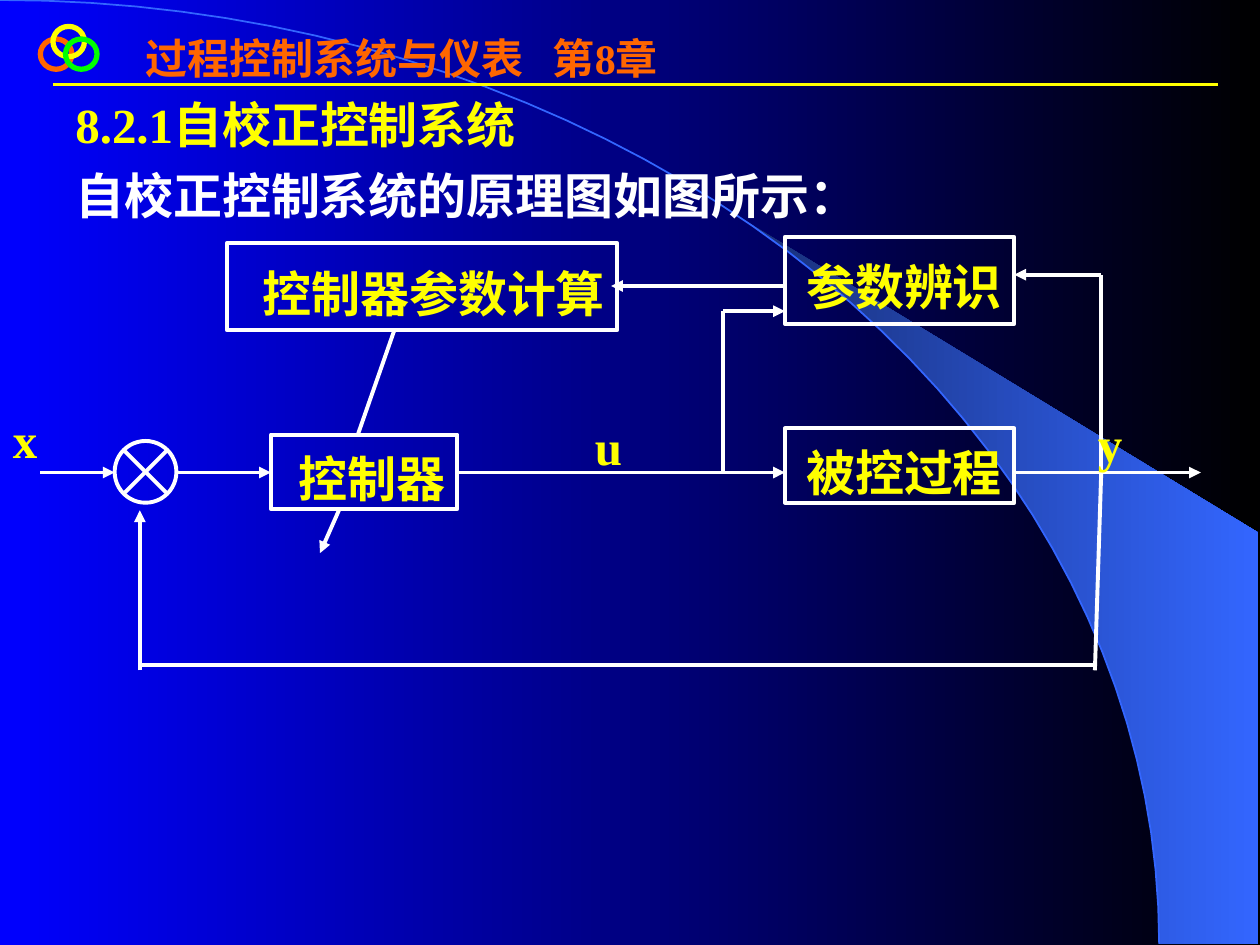
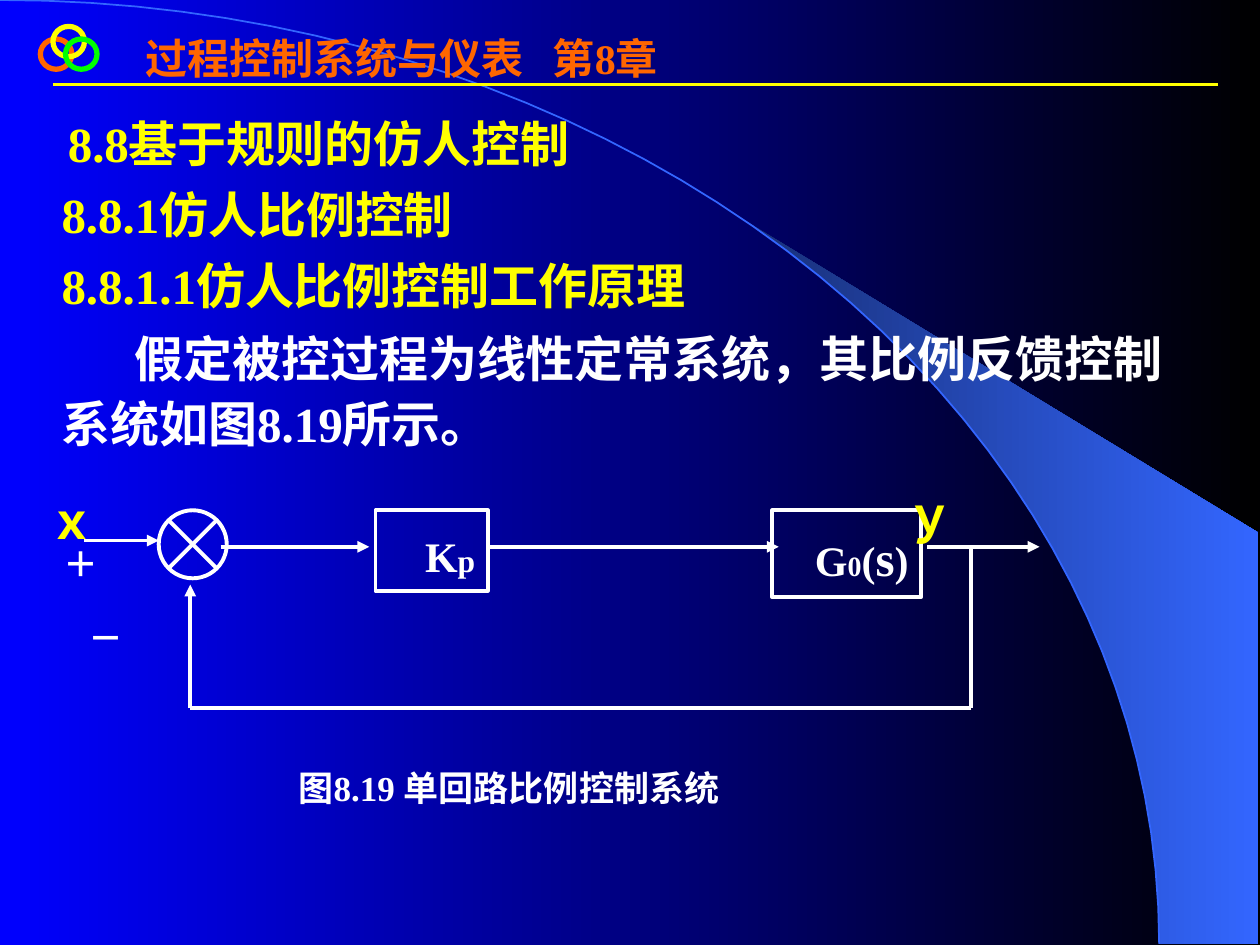
import itertools
import math

import pptx
import pptx.dml.color
import pptx.enum.lang
import pptx.enum.shapes
import pptx.enum.text
import pptx.oxml.ns
import pptx.util
from lxml import etree
from pptx.util import Inches

COLORS = {
    "blue": "0000FF",
    "black": "000000",
    "navy": "182F76",
    "sky": "3366FF",
    "orange": "FF6600",
    "yellow": "FFFF00",
    "green": "00FF00",
    "white": "FFFFFF",
}
FONT = "Times New Roman"
ALIGN = pptx.enum.text.PP_ALIGN
SHAPE = pptx.enum.shapes.MSO_SHAPE
ARC_WIDTH, ARC_HEIGHT = 9.2, 7.49
LINE_WIDTH = 2.25


def rgb(color):
    return pptx.dml.color.RGBColor.from_string(COLORS[color])


def add_xml(parent, tag, **attributes):
    return etree.SubElement(parent, pptx.oxml.ns.qn(tag), **attributes)


def paint_gradient(fill, start, end):
    fill.gradient()
    fill.gradient_angle = 0
    for stop, color in zip(fill.gradient_stops, (start, end)):
        stop.color.rgb = rgb(color)


def set_line(line, color, width):
    line.color.rgb = rgb(color)
    line.width = pptx.util.Pt(width)


def write(paragraph, text, size=28, color="yellow", align=None, spacing=None,
          before=None, left=None, first=0, tab=None):
    if align is not None:
        paragraph.alignment = align
    if spacing is not None:
        paragraph.line_spacing = spacing
    if before is not None:
        paragraph.space_before = pptx.util.Pt(before)
    properties = paragraph._p.get_or_add_pPr()
    if left is not None:
        properties.set("marL", str(Inches(left)))
        properties.set("indent", str(Inches(first)))
    if tab is not None:
        stops = add_xml(properties, "a:tabLst")
        add_xml(stops, "a:tab", pos=str(Inches(tab)), algn="l")
    run = paragraph.add_run()
    run.text = text
    run.font.name = FONT
    run.font.size = pptx.util.Pt(size)
    run.font.bold = True
    run.font.color.rgb = rgb(color)
    run.font.language_id = pptx.enum.lang.MSO_LANGUAGE_ID.SIMPLIFIED_CHINESE


def add_text_frame(slide, left, top, width, height):
    box = slide.shapes.add_textbox(Inches(left), Inches(top), Inches(width), Inches(height))
    box.text_frame.word_wrap = True
    return box.text_frame


def add_outline(slide, kind, left, top, width, height, color="white", weight=LINE_WIDTH):
    outline = slide.shapes.add_shape(
        kind, Inches(left), Inches(top), Inches(width), Inches(height))
    outline.shadow.inherit = False
    outline.fill.background()
    set_line(outline.line, color, weight)
    return outline


def add_block(slide, left, top, width, height, parts, color="yellow", spacing=1.2):
    block = add_outline(slide, SHAPE.RECTANGLE, left, top, width, height)
    frame = block.text_frame
    frame.word_wrap = False
    frame.vertical_anchor = pptx.enum.text.MSO_ANCHOR.MIDDLE
    for text, size in parts:
        write(frame.paragraphs[0], text, size, color, ALIGN.RIGHT, spacing)


def add_label(slide, text, center, top, size=28, color="yellow", width=0.4):
    frame = add_text_frame(slide, center - width / 2, top, width, 0.66)
    frame.margin_left = frame.margin_right = 0
    frame.word_wrap = False
    write(frame.paragraphs[0], text, size, color, ALIGN.CENTER, 1.2)


def add_junction(slide, left, top, size):
    add_outline(slide, SHAPE.FLOWCHART_SUMMING_JUNCTION, left, top, size, size)


def add_segment(slide, start, end, color="white", width=LINE_WIDTH):
    segment = slide.shapes.add_connector(
        pptx.enum.shapes.MSO_CONNECTOR.STRAIGHT, *map(Inches, (*start, *end)))
    set_line(segment.line, color, width)
    add_xml(segment._element.spPr, "a:effectLst")
    return segment


def add_signal(slide, *points, arrow=True):
    for start, end in itertools.pairwise(points):
        segment = add_segment(slide, start, end)
    if arrow:
        add_xml(segment.line._get_or_add_ln(), "a:tailEnd", type="triangle")


def arc_points(start_angle, steps=40):
    angles = (start_angle + (math.pi / 2 - start_angle) * i / steps for i in range(steps + 1))
    return [(ARC_WIDTH * math.sin(a), ARC_HEIGHT * (1 - math.cos(a))) for a in angles]


def add_freeform(slide, points, close):
    start, *rest = [tuple(map(Inches, point)) for point in points]
    builder = slide.shapes.build_freeform(*start)
    builder.add_line_segments(rest, close=close)
    freeform = builder.convert_to_shape()
    freeform.shadow.inherit = False
    return freeform


def add_base(prs):
    slide = prs.slides.add_slide(prs.slide_layouts[6])
    paint_gradient(slide.background.fill, "blue", "black")
    beam_points = arc_points(math.asin(5.89 / ARC_WIDTH)) + [(9.99, 7.49), (9.99, 4.23)]
    beam = add_freeform(slide, beam_points, close=True)
    paint_gradient(beam.fill, "navy", "sky")
    beam.line.fill.background()
    arc = add_freeform(slide, arc_points(0), close=False)
    arc.fill.background()
    set_line(arc.line, "sky", 1)
    add_segment(slide, (0.42, 0.67), (9.67, 0.67), "yellow", 1.5)
    header = add_text_frame(slide, 1.06, 0.21, 4.49, 0.5)
    write(header.paragraphs[0], "过程控制系统与仪表\t第8章", 24, "orange", tab=3.23)
    for left, top, color in ((0.32, 0.31, "orange"), (0.42, 0.21, "yellow"), (0.52, 0.31, "green")):
        add_outline(slide, SHAPE.OVAL, left, top, 0.25, 0.24, color, 3)
    return slide


def add_self_tuning_slide(prs):
    slide = add_base(prs)
    body = add_text_frame(slide, 0.5, 0.7, 9, 1.28)
    write(body.paragraphs[0], "8.2.1自校正控制系统")
    write(body.add_paragraph(), "自校正控制系统的原理图如图所示：", color="white", before=7)

    for left, top, width, height, text in (
        (1.8, 1.93, 3.1, 0.69, "控制器参数计算"),
        (6.23, 1.88, 1.82, 0.69, "参数辨识"),
        (6.23, 3.4, 1.82, 0.59, "被控过程"),
        (2.15, 3.45, 1.48, 0.59, "控制器"),
    ):
        add_block(slide, left, top, width, height, [(text, 28)])
    add_junction(slide, 0.91, 3.5, 0.49)

    axis = 3.75
    for start, end in ((0.32, 0.91), (1.41, 2.15), (3.62, 6.23), (8.05, 9.53)):
        add_signal(slide, (start, axis), (end, axis))
    add_signal(slide, (8.74, axis), (8.74, 2.18), (8.05, 2.18))
    add_signal(slide, (5.74, axis), (5.74, 2.47), (6.23, 2.47))
    add_signal(slide, (6.23, 2.27), (4.85, 2.27))
    add_signal(slide, (8.74, axis), (8.69, 5.32), arrow=False)
    add_signal(slide, (8.69, 5.28), (1.11, 5.28), arrow=False)
    add_signal(slide, (1.11, 5.32), (1.11, 4.05))
    add_signal(slide, (3.13, 2.62), (2.84, 3.45), arrow=False)
    add_signal(slide, (2.69, 4.05), (2.54, 4.39))

    for text, center, top in (("x", 0.2, 3.11), ("u", 4.83, 3.16), ("y", 8.81, 3.14)):
        add_label(slide, text, center, top)


def add_proportional_slide(prs):
    slide = add_base(prs)
    body = add_text_frame(slide, 0, 0.85, 9.5, 2.9)
    write(body.paragraphs[0], "8.8基于规则的仿人控制", left=0.44)
    for heading in ("8.8.1仿人比例控制", "8.8.1.1仿人比例控制工作原理"):
        write(body.add_paragraph(), heading, before=7, left=0.39)
    write(body.add_paragraph(),
          "假定被控过程为线性定常系统，其比例反馈控制系统如图8.19所示。",
          color="white", spacing=1.1, before=5, left=0.39, first=0.58)

    add_block(slide, 2.98, 4.05, 0.89, 0.64, [("K", 24), ("p", 18)], "white")
    add_block(slide, 6.13, 4.05, 1.18, 0.69,
              [("G", 24), ("0", 16), ("(", 24), ("s", 28), (")", 24)], "white", 1.1)
    add_junction(slide, 1.26, 4.05, 0.54)

    axis, feedback = 4.34, 5.62
    add_signal(slide, (0.67, 4.29), (1.26, 4.29))
    for start, end in ((1.75, 2.93), (3.87, 6.18), (7.36, 8.25)):
        add_signal(slide, (start, axis), (end, axis))
    add_signal(slide, (7.71, axis), (7.71, feedback), (1.51, feedback), (1.51, 4.64))

    add_label(slide, "ｘ", 0.57, 3.75)
    add_label(slide, "ｙ", 7.38, 3.7)
    add_label(slide, "＋", 0.64, 4.19, 20, "white")
    add_label(slide, "－", 0.84, 4.78, 20, "white")
    add_label(slide, "图8.19 单回路比例控制系统", 4.04, 5.97, 20, "white", 7)


def main():
    prs = pptx.Presentation()
    prs.slide_width, prs.slide_height = Inches(10), Inches(7.5)
    add_self_tuning_slide(prs)
    add_proportional_slide(prs)
    prs.save("out.pptx")


if __name__ == "__main__":
    main()
